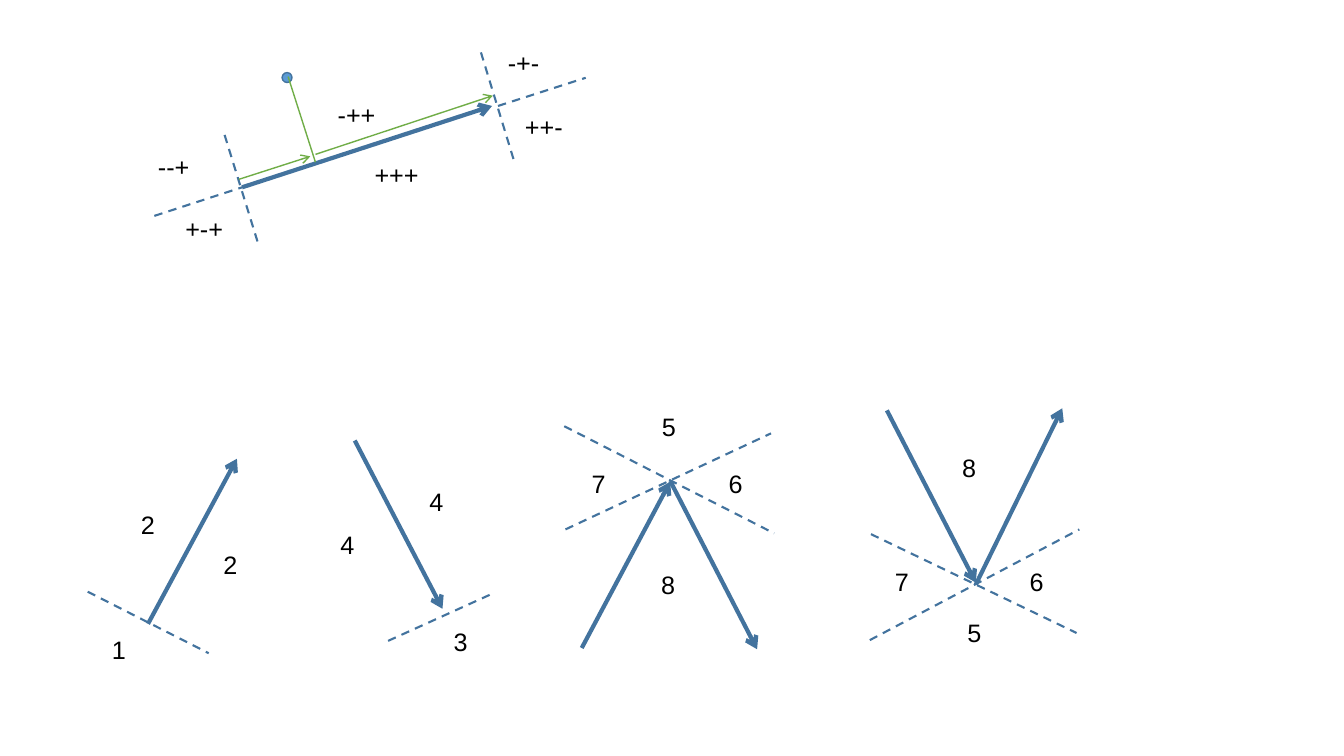
from dataclasses import dataclass

from lxml.etree import SubElement
from pptx import Presentation
from pptx.dml.color import RGBColor
from pptx.enum.dml import MSO_LINE
from pptx.enum.shapes import MSO_CONNECTOR, MSO_SHAPE
from pptx.oxml.ns import qn
from pptx.util import Cm, Pt


@dataclass(frozen=True)
class Theme:
    blue: RGBColor = RGBColor(0x43, 0x73, 0x9E)
    dot: RGBColor = RGBColor(0x5B, 0x9B, 0xD5)
    green: RGBColor = RGBColor(0x70, 0xAD, 0x47)
    text: RGBColor = RGBColor(0, 0, 0)
    font: str = "Arial"
    size: Pt = Pt(18)
    segment: Pt = Pt(3)
    boundary: Pt = Pt(1.5)
    thin: Pt = Pt(1)


THEME = Theme()

# Content: lines are (x1, y1, x2, y2), labels are (text, left, top), all in cm
SEGMENTS = [
    (3.73, 15.72, 5.97, 11.56),
    (8.94, 11.1, 11.15, 15.34),
    (14.66, 16.33, 16.89, 12.14),
    (16.89, 12.12, 19.08, 16.36),
    (22.35, 10.34, 24.59, 14.68),
    (24.59, 14.73, 26.77, 10.29),
    (6.1, 4.72, 12.4, 2.67),
]
BOUNDARIES = [
    (2.21, 14.91, 5.26, 16.46),
    (9.78, 16.15, 12.34, 14.99),
    (14.22, 10.74, 19.51, 13.44),
    (14.25, 13.34, 19.43, 10.92),
    (21.92, 16.13, 27.2, 13.34),
    (21.95, 13.46, 27.13, 15.95),
    (5.66, 3.4, 6.5, 6.12),
    (12.12, 1.32, 12.95, 4.04),
    (3.89, 5.44, 6.1, 4.72),
    (12.55, 2.67, 14.76, 1.96),
]
POINT = (7.11, 1.83, 0.25)
PERPENDICULAR = (7.26, 1.93, 7.95, 4.09)
PROJECTIONS = [(6.02, 4.52, 7.82, 3.94), (7.95, 3.89, 12.42, 2.41)]

SIGN_LABELS = [
    ("+++", 9.19, 3.89), ("++-", 12.98, 2.67), ("+-+", 4.42, 5.26),
    ("--+", 3.73, 3.68), ("-++", 8.26, 2.39), ("-+-", 12.55, 1.07),
]
REGION_LABELS = [
    ("2", 3.3, 12.7), ("1", 2.57, 15.85), ("2", 5.38, 13.72),
    ("3", 11.18, 15.65), ("4", 8.33, 13.21), ("4", 10.57, 12.12),
    ("7", 14.66, 11.68), ("6", 18.11, 11.68), ("8", 16.41, 14.22), ("5", 16.43, 10.24),
    ("7", 22.3, 14.15), ("6", 25.7, 14.15), ("8", 24, 11.28), ("5", 24.13, 15.42),
]
SIGN_WIDTH, REGION_WIDTH, LABEL_HEIGHT = 1.65, 1.17, 1.02


def add_line(slide, ends, color, width, dashed=False, arrow=False):
    connector = slide.shapes.add_connector(MSO_CONNECTOR.STRAIGHT, *map(Cm, ends))
    connector.line.color.rgb = color
    connector.line.width = width
    if dashed:
        connector.line.dash_style = MSO_LINE.DASH
    properties = connector._element.spPr
    if arrow:
        SubElement(properties.find(qn("a:ln")), qn("a:tailEnd"), type="arrow")
    SubElement(properties, qn("a:effectLst"))


def add_label(slide, text, left, top, width):
    shape = slide.shapes.add_textbox(Cm(left), Cm(top), Cm(width), Cm(LABEL_HEIGHT))
    shape.text_frame.word_wrap = True
    paragraph = shape.text_frame.paragraphs[0]
    paragraph.text = text
    paragraph.font.name = THEME.font
    paragraph.font.size = THEME.size
    paragraph.font.color.rgb = THEME.text


def add_point(slide, left, top, diameter):
    shape = slide.shapes.add_shape(
        MSO_SHAPE.OVAL, Cm(left), Cm(top), Cm(diameter), Cm(diameter))
    shape.shadow.inherit = False
    shape.fill.solid()
    shape.fill.fore_color.rgb = THEME.dot
    shape.line.color.rgb = THEME.blue
    shape.line.width = THEME.thin


def main():
    presentation = Presentation()
    presentation.slide_width, presentation.slide_height = Cm(33.87), Cm(19.05)
    slide = presentation.slides.add_slide(presentation.slide_layouts[6])

    # Directed segments and region boundaries
    for ends in SEGMENTS:
        add_line(slide, ends, THEME.blue, THEME.segment, arrow=True)
    for ends in BOUNDARIES:
        add_line(slide, ends, THEME.blue, THEME.boundary, dashed=True)

    # Point and its projection on the segment
    add_point(slide, *POINT)
    add_line(slide, PERPENDICULAR, THEME.green, THEME.thin)
    for ends in PROJECTIONS:
        add_line(slide, ends, THEME.green, THEME.thin, arrow=True)

    # Labels
    for labels, width in ((SIGN_LABELS, SIGN_WIDTH), (REGION_LABELS, REGION_WIDTH)):
        for text, left, top in labels:
            add_label(slide, text, left, top, width)

    presentation.save("out.pptx")


if __name__ == "__main__":
    main()
